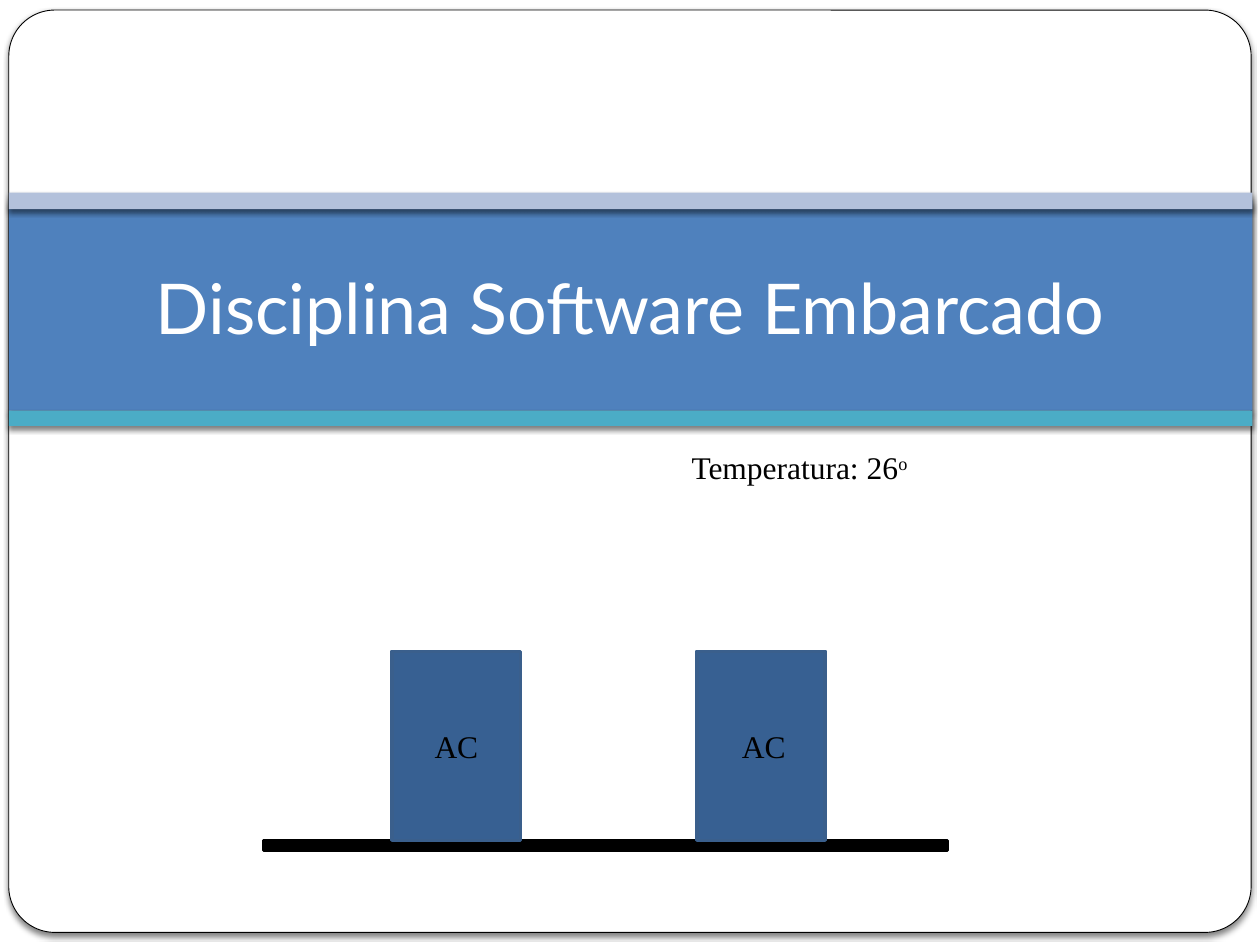
"""Build the title slide with two AC units and a temperature reading."""
from lxml import etree
from pptx import Presentation
from pptx import util as u
from pptx.dml.color import RGBColor
from pptx.enum import shapes, text
from pptx.oxml import ns

SHADOW = (
    f'<a:effectLst {ns.nsdecls("a")}>'
    '<a:outerShdw blurRad="38100" dist="25400" dir="5400000" rotWithShape="0">'
    '<a:srgbClr val="000000"><a:alpha val="50000"/></a:srgbClr>'
    '</a:outerShdw></a:effectLst>'
)


def color(value):
    return RGBColor.from_string(value)


class SlideBuilder:
    """Hold the style and the current slide."""

    title_font = "Lato"
    body_font = "Times New Roman"

    def __init__(self, slide):
        self.slide = slide

    def set_font(self, paragraph, name, size, value):
        paragraph.font.name = name
        paragraph.font.size = u.Pt(size)
        paragraph.font.color.rgb = color(value)

    def block(self, left, top, width, height, fill, line=None, line_width=2,
              shadow=False, kind=shapes.MSO_SHAPE.RECTANGLE):
        shape = self.slide.shapes.add_shape(
            kind, *map(u.Inches, (left, top, width, height)))
        shape.fill.solid()
        shape.fill.fore_color.rgb = color(fill)
        if line:
            shape.line.color.rgb = color(line)
            shape.line.width = u.Pt(line_width)
        else:
            shape.line.fill.background()
        shape.shadow.inherit = False
        if shadow:
            properties = shape._element.spPr
            properties.remove(properties.find(ns.qn("a:effectLst")))
            properties.append(etree.fromstring(SHADOW))
        return shape

    def title(self, wording, left, top, width, height):
        title = self.slide.shapes.title
        title.left, title.top, title.width, title.height = map(
            u.Inches, (left, top, width, height))
        self.slide.shapes._spTree.append(title._element)
        frame = title.text_frame
        frame.text = wording
        frame.vertical_anchor = text.MSO_ANCHOR.MIDDLE
        frame.margin_bottom = u.Inches(0.1)
        paragraph = frame.paragraphs[0]
        paragraph.alignment = text.PP_ALIGN.CENTER
        self.set_font(paragraph, self.title_font, 40, "FFFFFF")

    def label(self, wording, left, top, width, height, superscript=None, wrap=False):
        box = self.slide.shapes.add_textbox(
            *map(u.Inches, (left, top, width, height)))
        box.text_frame.word_wrap = wrap
        paragraph = box.text_frame.paragraphs[0]
        paragraph.add_run().text = wording
        if superscript:
            raised = paragraph.add_run()
            raised.text = superscript
            raised._r.get_or_add_rPr().set("baseline", "30000")
        self.set_font(paragraph, self.body_font, 18, "000000")


def main():
    deck = Presentation()
    deck.slide_width, deck.slide_height = u.Inches(10), u.Inches(7.5)
    builder = SlideBuilder(deck.slides.add_slide(deck.slide_layouts[5]))

    panel = builder.block(0.07, 0.08, 9.86, 7.32, "FFFFFF", "000000", 0.5,
                          shadow=True, kind=shapes.MSO_SHAPE.ROUNDED_RECTANGLE)
    panel.adjustments[0] = 0.05
    for top, height, fill in ((1.59, 1.67, "4F81BD"), (1.53, 0.13, "B3C1DB"),
                              (3.26, 0.12, "4BACC6")):
        builder.block(0.07, top, 9.87, height, fill, shadow=True)
    builder.title("Disciplina Software Embarcado", 0.5, 1.65, 9, 1.61)

    builder.block(2.09, 6.67, 5.43, 0.08, "000000", "000000")
    for unit_left, label_left in ((3.11, 3.35), (5.53, 5.79)):
        builder.block(unit_left, 5.17, 1.02, 1.5, "376092", "3A5F8C")
        builder.label("AC", label_left, 5.72, 0.55, 0.4)
    builder.label("Temperatura: 26", 5.39, 3.51, 2.13, 0.7, superscript="o", wrap=True)

    deck.save("out.pptx")


if __name__ == "__main__":
    main()
